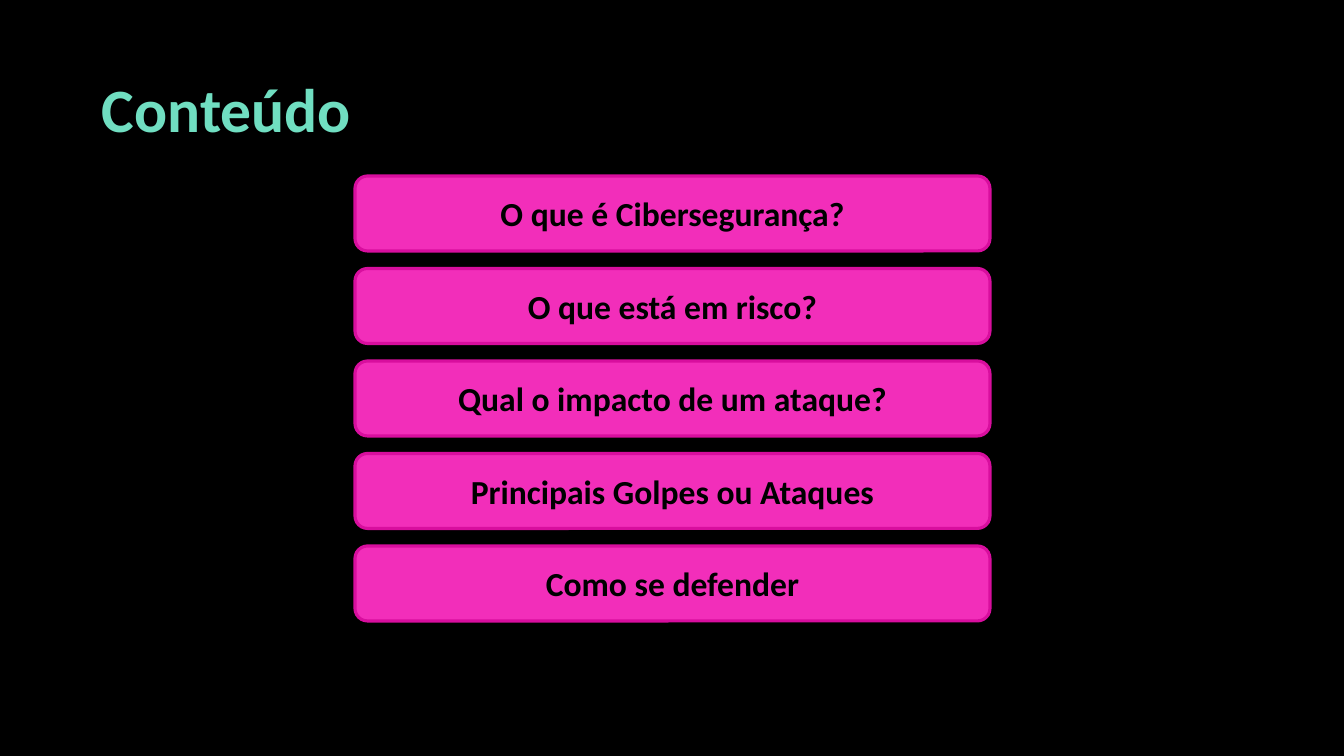
from dataclasses import dataclass

from pptx import Presentation
from pptx.dml.color import RGBColor
from pptx.enum.shapes import MSO_SHAPE
from pptx.enum.text import MSO_ANCHOR, PP_ALIGN
from pptx.util import Pt

ROUNDED = MSO_SHAPE.ROUNDED_RECTANGLE
MIDDLE = MSO_ANCHOR.MIDDLE
LEFT, CENTER = PP_ALIGN.LEFT, PP_ALIGN.CENTER
SLIDE_W, SLIDE_H = 1344, 756
EMU_PER_PX = 12192000 / SLIDE_W
BLANK = 6


@dataclass(frozen=True)
class Theme:
    """Colours, font and type sizes of the slide."""
    background: str = "000000"
    title: str = "70DEC1"
    topic_fill: str = "F22EBA"
    topic_line: str = "D80E9E"
    topic_text: str = "000000"
    font: str = "Calibri"
    title_size: int = 44
    topic_size: int = 24
    line_width: float = 2.25


THEME = Theme()
TOPICS = [
    "O que é Cibersegurança?",
    "O que está em risco?",
    "Qual o impacto de um ataque?",
    "Principais Golpes ou Ataques",
    "Como se defender",
]
TOPIC_LEFT, TOPIC_W, TOPIC_H = 355, 635, 75
FIRST_TOP, LAST_TOP = 176, 546


def px(*lengths):
    """Turn pixel lengths into a list of EMU."""
    return [round(n * EMU_PER_PX) for n in lengths]


def set_attrs(obj, values):
    """Set every attribute of a format dict on an object."""
    for name, value in values.items():
        setattr(obj, name, value)


def write(s, text, size, color, align, spacing=1.0):
    """Write one bold, vertically centred paragraph in a shape."""
    tf = s.text_frame
    set_attrs(tf, {"word_wrap": True, "vertical_anchor": MIDDLE})
    p = tf.paragraphs[0]
    set_attrs(p, {"alignment": align, "line_spacing": spacing})
    r = p.add_run()
    r.text = text
    set_attrs(r.font, {"name": THEME.font, "size": Pt(size), "bold": True})
    r.font.color.rgb = RGBColor.from_string(color)


def add_title(slide, text):
    """Add the slide title."""
    s = slide.shapes.add_textbox(*px(92, 40, 1159, 146))
    write(s, text, THEME.title_size, THEME.title, LEFT, 0.9)


def add_topic(slide, text, top):
    """Add one rounded topic bar."""
    s = slide.shapes.add_shape(ROUNDED, *px(TOPIC_LEFT, top, TOPIC_W, TOPIC_H))
    s.shadow.inherit = False
    s.fill.solid()
    s.fill.fore_color.rgb = RGBColor.from_string(THEME.topic_fill)
    s.line.color.rgb = RGBColor.from_string(THEME.topic_line)
    s.line.width = Pt(THEME.line_width)
    write(s, text, THEME.topic_size, THEME.topic_text, CENTER)


def main():
    """Build and save the contents slide."""
    prs = Presentation()
    prs.slide_width, prs.slide_height = px(SLIDE_W, SLIDE_H)
    slide = prs.slides.add_slide(prs.slide_layouts[BLANK])
    fill = slide.background.fill
    fill.solid()
    fill.fore_color.rgb = RGBColor.from_string(THEME.background)
    add_title(slide, "Conteúdo")
    pitch = (LAST_TOP - FIRST_TOP) / (len(TOPICS) - 1)
    for i, topic in enumerate(TOPICS):
        add_topic(slide, topic, FIRST_TOP + i * pitch)
    prs.save("out.pptx")


if __name__ == "__main__":
    main()
